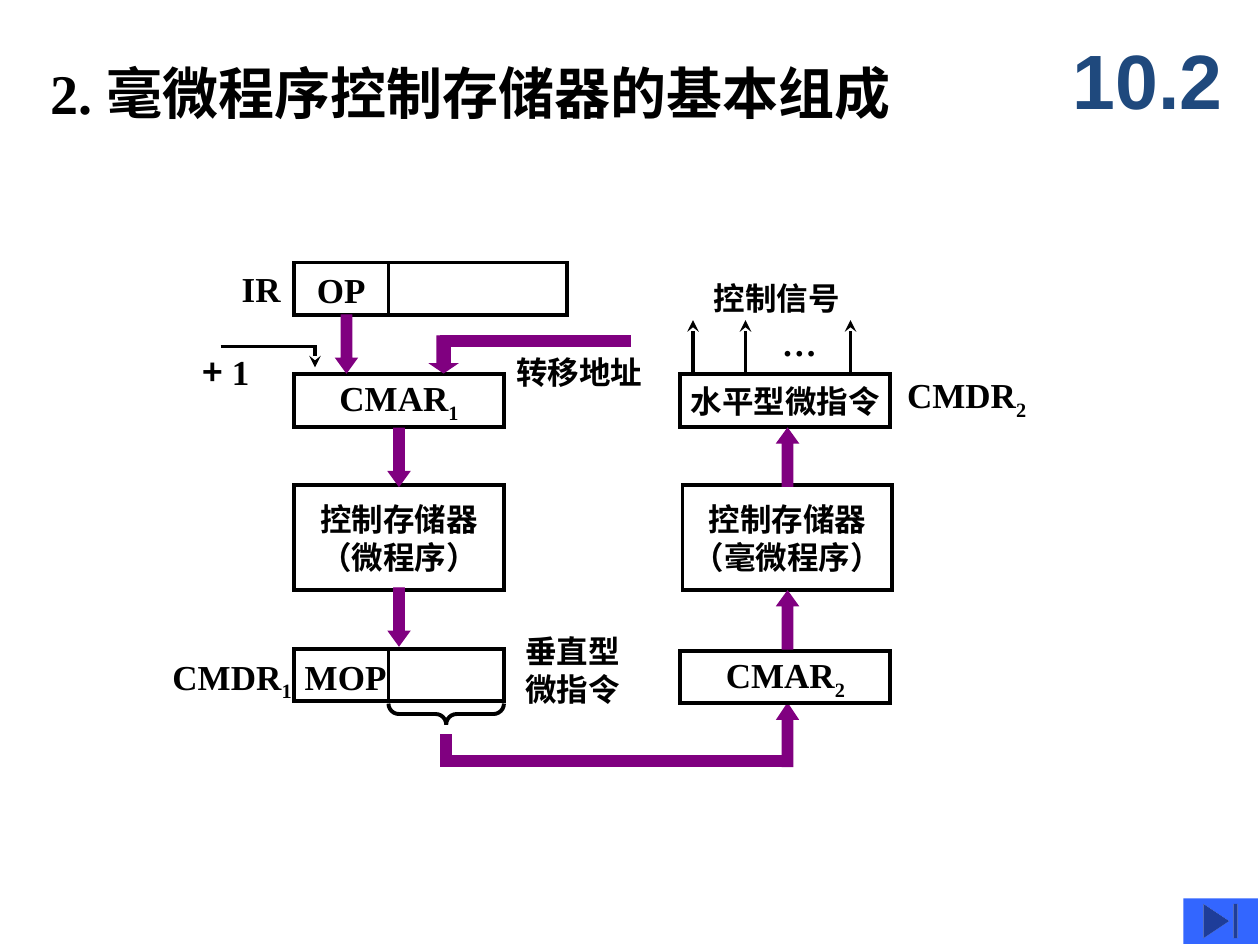
from dataclasses import dataclass
from lxml.etree import SubElement as Sub
from pptx import Presentation
from pptx.dml.color import RGBColor as RGB
from pptx.enum.shapes import MSO_CONNECTOR as Conn, MSO_SHAPE as Shp
from pptx.enum.text import MSO_ANCHOR as Anc, MSO_AUTO_SIZE as Auto, PP_ALIGN as Al
from pptx.oxml.ns import qn
from pptx.util import Inches, Pt


@dataclass(frozen=True)
class Theme:
    """Hold the colours, fonts and sizes."""
    ink: RGB = RGB(0, 0, 0)
    flow: RGB = RGB(0x80, 0, 0x80)
    navy: RGB = RGB(0x1F, 0x49, 0x7D)
    blue: RGB = RGB(0x33, 0x66, 0xFF)
    serif: str = "Times New Roman"
    sans: str = "Arial"
    wide: str = "DejaVu Sans"
    han: str = "Noto Sans CJK SC"
    head: int = 32
    mark: int = 44
    code: int = 20
    word: int = 18
    gap: int = 8
    rule: float = 2.25
    thin: float = 0.75


T = Theme()
CELL = Inches(10) / 120


def put(obj, **vals):
    """Set each named value on an object."""
    for key, val in vals.items():
        setattr(obj, key, val)


def emu(*cells):
    """Turn grid cells into lengths."""
    return [round(c * CELL) for c in cells]


def spot(box, x, y, w, h):
    """Place a part relative to its box."""
    return emu(box[0] + x, box[1] + y, w, h)


def pen(shape, color=T.ink, width=T.rule):
    """Style an outline with sharp corners."""
    shape.line.color.rgb = color
    shape.line.width = Pt(width)
    Sub(shape.line._get_or_add_ln(), qn("a:miter"), lim="800000")


def tip(shape):
    """End a line in a stealth arrowhead."""
    Sub(shape.line._get_or_add_ln(), qn("a:tailEnd"), type="stealth")


def write(frame, lines, align=Al.LEFT, **vals):
    """Fill a frame with lines of (text, format) runs."""
    put(frame, **{"word_wrap": False, **vals})
    for i, runs in enumerate(lines):
        para = frame.add_paragraph() if i else frame.paragraphs[0]
        para.alignment = align
        for text, fmt in runs:
            run = para.add_run()
            run.text = text
            fmt = {"size": T.code, "color": T.ink, "name": T.serif, **fmt}
            run.font.color.rgb = fmt["color"]
            put(run.font, bold=True, size=Pt(fmt["size"]), name=fmt["name"])
            prop = run._r.get_or_add_rPr()
            Sub(prop, qn("a:ea"), typeface=T.han)
            if "base" in fmt:
                prop.set("baseline", str(fmt["base"]))


def words(*lines):
    """Make lines of Chinese label text."""
    return [[(line, {"size": T.word})] for line in lines]


def code(text, sub=""):
    """Make a register name with an optional subscript."""
    return [[(text, {})] + ([(sub, {"base": -25000})] if sub else [])]


def label(page, at, lines, **vals):
    """Add a text box."""
    frame = page.shapes.add_textbox(*at).text_frame
    write(frame, lines, **{"auto_size": Auto.SHAPE_TO_FIT_TEXT, **vals})


def block(page, at, lines=()):
    """Add an outlined box with centred text."""
    shape = page.shapes.add_shape(Shp.RECTANGLE, *at)
    shape.shadow.inherit = False
    shape.fill.background()
    pen(shape)
    write(shape.text_frame, lines, Al.CENTER, vertical_anchor=Anc.MIDDLE)


def solid(page, at, kind=Shp.RECTANGLE, head=None, turn=0):
    """Add a filled bar or block arrow."""
    shape = page.shapes.add_shape(kind, *at)
    put(shape, rotation=turn)
    shape.shadow.inherit = False
    shape.fill.solid()
    shape.fill.fore_color.rgb = T.flow
    pen(shape, T.flow, T.thin)
    if head:
        shape.adjustments[1] = head


def arrow(page, at, head=0.69, turn=0):
    """Add a block arrow."""
    solid(page, at, Shp.DOWN_ARROW, head, turn)


def line(page, box, x, top, end):
    """Add a vertical line."""
    x, top, end = emu(box[0] + x, box[1] + top, box[1] + end)
    wire = page.shapes.add_connector(Conn.STRAIGHT, x, top, x, end)
    pen(wire)
    Sub(wire._element.spPr, qn("a:effectLst"))
    return wire


def header(page, box):
    """Place the title and the section number."""
    title = [("2.", {"size": T.head}), ("　", {"size": T.gap}),
             ("毫微程序控制存储器的基本组成", {"size": T.head, "name": T.wide})]
    label(page, spot(box, 3.6, 5, 96.4, 7.7), [title], word_wrap=True)
    mark = {"size": T.mark, "name": T.sans, "color": T.navy}
    label(page, spot(box, 101, 2, 19, 11), [[("10.2", mark)]], word_wrap=True,
          auto_size=Auto.NONE, vertical_anchor=Anc.MIDDLE)


def micro(page, box):
    """Draw the microprogram level."""
    block(page, spot(box, 0, 0, 26, 5))
    block(page, spot(box, 0, 10.65, 20, 5), code("CMAR", "1"))
    block(page, spot(box, 0, 21.2, 20, 10), words("控制存储器", "（微程序）"))
    block(page, spot(box, 0, 36.8, 20, 5))
    for top in (0, 36.8):
        line(page, box, 9, top, top + 5)
    for x, y in ((4, 5), (9, 15.8), (9, 31)):
        arrow(page, spot(box, x, y, 2, 5.5))
    arrow(page, spot(box, 13, 7, 2.5, 3.5), 0.34)
    solid(page, spot(box, 14, 7, 18, 1))
    route = [emu(box[0] + x, box[1] + y) for x, y in ((-7, 8), (2, 8), (2, 10))]
    pencil = page.shapes.build_freeform(*route[0])
    pencil.add_line_segments(route[1:], close=False)
    step = pencil.convert_to_shape()
    step.shadow.inherit = False
    step.fill.background()
    pen(step)
    tip(step)
    plus = [[("+", {"name": T.han}), (" 1", {})]]
    for at, lines in (
        ((-6.16, -0.16, 6.2, 5.3), code("IR")),
        ((1, 0, 7, 5.3), code("OP")),
        ((-9.9, 7.76, 8, 5.3), plus),
        ((20, 8, 14.4, 4.8), words("转移地址")),
        ((-12.76, 36.8, 15, 5.8), code("CMDR", "1")),
        ((-0.16, 36.8, 10.2, 5.3), code("MOP")),
        ((20.84, 34.64, 11.4, 8.4), words("垂直型", "微指令")),
    ):
        label(page, spot(box, *at), lines)


def nano(page, box):
    """Draw the nanoprogram level."""
    block(page, spot(box, 0, 10.65, 20, 5), words("水平型微指令"))
    block(page, spot(box, 0.2, 21.2, 20, 10), words("控制存储器", "（毫微程序）"))
    block(page, spot(box, 0, 37, 20, 5), code("CMAR", "2"))
    for y in (15.8, 31.3):
        arrow(page, spot(box, 9.2, y, 2, 5.5), turn=180)
    for x in (1.2, 6.2, 16.2):
        tip(line(page, box, x, 10.5, 5.5))
    label(page, spot(box, 8.5, 5, 5.8, 5.3), code("…"))
    label(page, spot(box, 2, 1, 14.4, 4.8), words("控制信号"))
    label(page, spot(box, 20.4, 10, 15, 5.8), code("CMDR", "2"))


def link(page, box):
    """Join the two levels from the brace to the second register."""
    brace = page.shapes.add_shape(Shp.LEFT_BRACE, *spot(box, 4.5, -4.5, 2, 11))
    put(brace, rotation=270)
    brace.adjustments[0] = 0.5
    brace.shadow.inherit = False
    brace.fill.background()
    pen(brace)
    solid(page, spot(box, 5, 3, 1, 3))
    solid(page, spot(box, 5, 5, 33, 1))
    arrow(page, spot(box, 37, 0, 2, 6), 0.75, 180)


def button(page, box):
    """Place the jump button."""
    shape = page.shapes.add_shape(Shp.ACTION_BUTTON_END, *spot(box, 0, 0, 7.1, 4.35))
    shape.shadow.inherit = False
    shape.fill.solid()
    shape.fill.fore_color.rgb = T.blue
    shape.line.fill.background()


def main():
    """Build the slide."""
    deck = Presentation()
    put(deck, slide_width=Inches(10), slide_height=Inches(7.5))
    page = deck.slides.add_slide(deck.slide_layouts[6])
    for draw, box in ((header, (0, 0)), (link, (37, 67)), (micro, (28, 25)),
                      (nano, (64.8, 25)), (button, (112.7, 85.55))):
        draw(page, box)
    deck.save("out.pptx")


if __name__ == "__main__":
    main()
